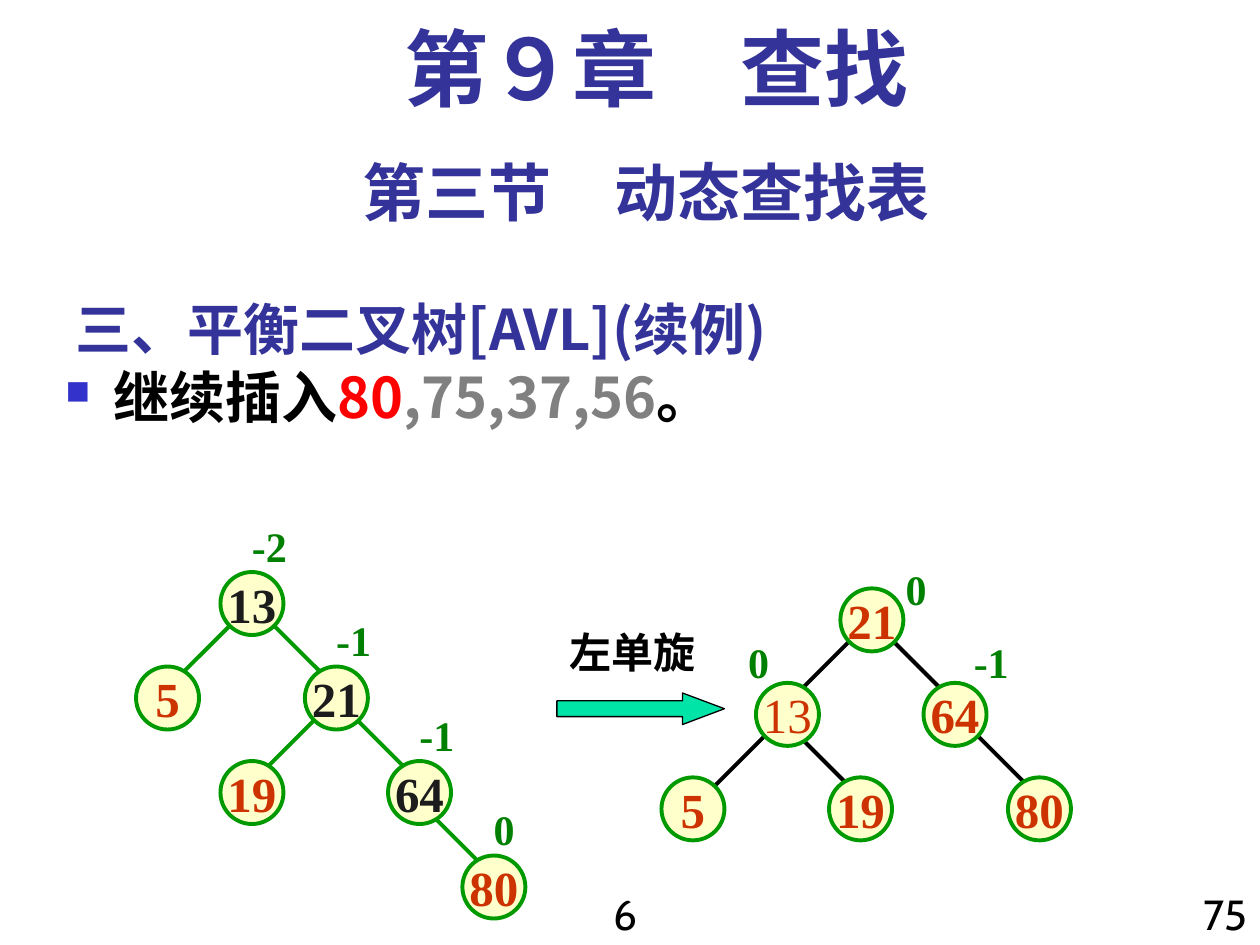
from lxml import etree
from pptx import Presentation, util as u
from pptx.dml.color import RGBColor
from pptx.enum import shapes, text
from pptx.oxml import ns

NAVY, BLACK, DARK, RUST = "333399", "000000", "1C1C1C", "CC3300"
GREEN, LABEL_GREEN = "009900", "008000"
SERIF, SANS, HAN = "Times New Roman", "Cabin", "Noto Sans CJK SC"
LEFT, CENTER, RIGHT = text.PP_ALIGN.LEFT, text.PP_ALIGN.CENTER, text.PP_ALIGN.RIGHT
NODE = 0.5


def color(value):
    return RGBColor.from_string(value)


def add_element(parent, tag, **attributes):
    return etree.SubElement(parent, ns.qn(tag), attributes)


class Page:
    def __init__(self, slide):
        self.shapes = slide.shapes

    def span(self, para, words, size, ink, font=SERIF, bold=True):
        span = para.add_run()
        span.text = words
        span.font.size = u.Pt(size)
        span.font.bold = bold
        span.font.name = font
        span.font.color.rgb = color(ink)
        add_element(span.font._element, "a:ea", typeface=HAN)

    def text_box(self, place, spans=(), align=LEFT, wrap=True, anchor=text.MSO_ANCHOR.TOP):
        """Add a box; each span is (words, size, ink, font, bold)."""
        box = self.shapes.add_textbox(*map(u.Inches, place))
        box.text_frame.word_wrap = wrap
        box.text_frame.vertical_anchor = anchor
        para = box.text_frame.paragraphs[0]
        para.alignment = align
        for span in spans:
            self.span(para, *span)
        return para

    def bullet(self, para, mark, ink, percent):
        props = para._p.get_or_add_pPr()
        props.set("marL", str(u.Inches(0.38)))
        props.set("indent", str(-u.Inches(0.38)))
        add_element(add_element(props, "a:buClr"), "a:srgbClr", val=ink)
        add_element(props, "a:buSzPct", val=str(percent * 1000))
        add_element(props, "a:buChar", char=mark)

    def shape(self, kind, place, fill, line, weight):
        shape = self.shapes.add_shape(kind, *map(u.Inches, place))
        shape.shadow.inherit = False
        shape.fill.solid()
        shape.fill.fore_color.rgb = color(fill)
        shape.line.color.rgb = color(line)
        shape.line.width = u.Pt(weight)
        return shape

    def node(self, key, left, top, ink=RUST, bold=True):
        shape = self.shape(shapes.MSO_SHAPE.OVAL, (left, top, NODE, NODE), "FFFFCC", GREEN, 2.25)
        shape.text_frame.word_wrap = False
        shape.text_frame.vertical_anchor = text.MSO_ANCHOR.MIDDLE
        para = shape.text_frame.paragraphs[0]
        para.alignment = CENTER
        self.span(para, key, 28, ink, bold=bold)

    def edge(self, x, y, run, ink):
        """Draw a 45-degree branch downwards; a negative run goes left."""
        ends = map(u.Inches, (x, y, x + run, y + abs(run)))
        line = self.shapes.add_connector(shapes.MSO_CONNECTOR.STRAIGHT, *ends)
        line.line.color.rgb = color(ink)
        line.line.width = u.Pt(2.25)
        add_element(line._element.spPr, "a:effectLst")

    def tree(self, edges, ink, nodes, balances):
        for edge in edges:
            self.edge(*edge, ink)
        for node in nodes:
            self.node(*node)
        for words, left, top in balances:
            width = 0.36 if len(words) == 1 else 0.48
            self.text_box((left, top, width, 0.5), [(words, 24, LABEL_GREEN)], wrap=False)


def main():
    deck = Presentation()
    deck.slide_width, deck.slide_height = u.Inches(10), u.Inches(7.5)
    page = Page(deck.slides.add_slide(deck.slide_layouts[6]))

    # Headings
    chapter = page.text_box((0.67, 0.17, 9.08, 0.83), [("第９章\u3000查找", 48, NAVY)], CENTER)
    chapter.line_spacing = 0.9
    page.text_box((0.5, 1.17, 9.25, 0.7), [("第三节\u3000动态查找表", 36, NAVY, SANS)], CENTER)
    page.text_box((0.5, 2.17, 7.75, 0.75), [("三、平衡二叉树[AVL](续例)", 32, NAVY, HAN)],
                  anchor=text.MSO_ANCHOR.BOTTOM)

    # Keys to insert
    para = page.text_box((0.42, 2.83, 9.58, 4.67))
    page.bullet(para, "■", "3333CC", 60)
    for words, ink in (("继续插入", BLACK), ("80", "FF0000"), (",75,37,56", "808080"), ("。", BLACK)):
        page.span(para, words, 32, ink, HAN)

    # Page numbers
    page.text_box((4.67, 7, 0.58, 0.5), [("6", 24, BLACK, SANS, False)], CENTER)
    page.text_box((9.33, 7, 0.67, 0.59), [("75", 24, BLACK, SANS, False)], RIGHT)

    # Unbalanced tree
    page.tree(
        edges=[(1.83, 4.96, -0.41), (2.17, 4.96, 0.41), (2.5, 5.71, -0.5),
               (2.83, 5.71, 0.42), (3.42, 6.46, 0.5)],
        ink=GREEN,
        nodes=[("13", 1.75, 4.54, DARK), ("5", 1.08, 5.29), ("21", 2.42, 5.29, DARK),
               ("19", 1.75, 6.04), ("64", 3.08, 6.04, DARK), ("80", 3.67, 6.79)],
        balances=[("-2", 1.9, 4.08), ("-1", 2.57, 4.83), ("-1", 3.23, 5.58), ("0", 3.82, 6.33)])

    # Left rotation
    page.text_box((4.42, 4.92, 1.2, 0.5), [("左单旋", 24, BLACK)], wrap=False)
    arrow = page.shape(shapes.MSO_SHAPE.RIGHT_ARROW, (4.42, 5.5, 1.33, 0.25), "00E4A8", BLACK, 0.75)
    arrow.adjustments[0], arrow.adjustments[1] = 0.5, 1.33

    # Balanced tree
    page.tree(
        edges=[(6.75, 5.08, -0.42), (7, 5, 0.5), (6.08, 5.83, -0.42),
               (6.33, 5.83, 0.5), (7.67, 5.75, 0.5)],
        ink=BLACK,
        nodes=[("21", 6.67, 4.67), ("13", 6, 5.42, RUST, False), ("64", 7.33, 5.42),
               ("5", 5.25, 6.17), ("19", 6.58, 6.17), ("80", 8, 6.17)],
        balances=[("0", 7.09, 4.42), ("0", 5.84, 5), ("-1", 7.63, 5)])

    deck.save("out.pptx")


if __name__ == "__main__":
    main()
